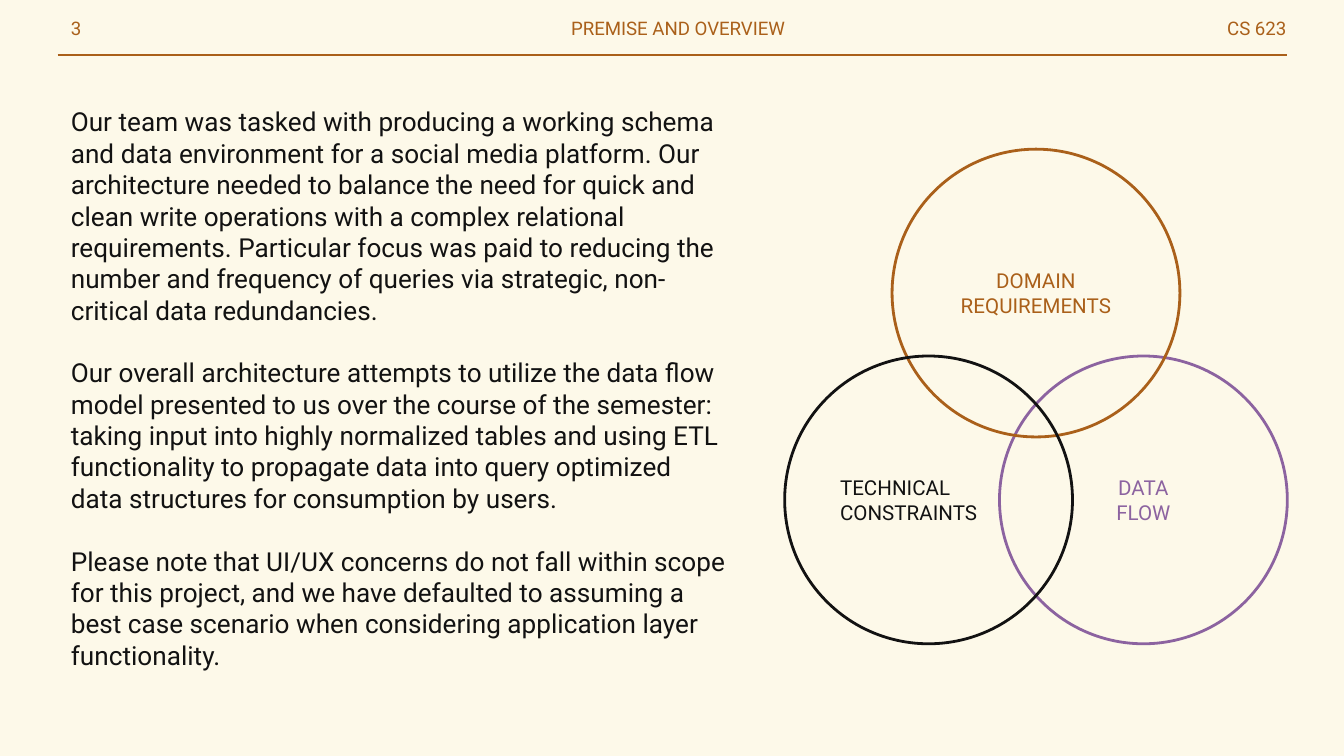
from pptx import Presentation
from pptx import util as u
from pptx.dml.color import RGBColor
from pptx.enum import shapes, text
from pptx.oxml import parse_xml
from pptx.oxml.ns import nsdecls

# Content
PAGE, TITLE, COURSE = "3", "PREMISE AND OVERVIEW", "CS 623"
OVERVIEW = [
    "Our team was tasked with producing a working schema and data environment "
    "for a social media platform. Our architecture needed to balance the need "
    "for quick and clean write operations with a complex relational "
    "requirements. Particular focus was paid to reducing the number and "
    "frequency of queries via strategic, non-critical data redundancies.",
    "Our overall architecture attempts to utilize the data flow model presented "
    "to us over the course of the semester: taking input into highly normalized "
    "tables and using ETL functionality to propagate data into query optimized "
    "data structures for consumption by users.",
    "Please note that UI/UX concerns do not fall within scope for this project, "
    "and we have defaulted to assuming a best case scenario when considering "
    "application layer functionality.",
]


class Theme:
    font = "Roboto"
    paper, ink, rust, violet = (
        RGBColor.from_string(c) for c in ("FDF9E9", "121212", "AA601A", "8C63A0"))
    header, label, body = u.Pt(10), u.Pt(11), u.Pt(14)
    paragraph_gap = u.Pt(16.8)
    rule, ring = u.Pt(0.75), u.Pt(1.5)
    inset = u.Cm(0.25)


LEFT, CENTER, RIGHT = text.PP_ALIGN.LEFT, text.PP_ALIGN.CENTER, text.PP_ALIGN.RIGHT

# Circles from back to front: (column, row, colour, alignment, lines);
# columns count half steps between the two lower circles
CIRCLES = [
    (2, 1, Theme.violet, CENTER, ["DATA", "FLOW"]),
    (1, 0, Theme.rust, CENTER, ["DOMAIN REQUIREMENTS"]),
    (0, 1, Theme.ink, LEFT, ["TECHNICAL", "CONSTRAINTS"]),
]
VENN_LEFT, VENN_TOP, DIAMETER = 14.83, 2.82, 5.44
HALF_STEP, ROW_STEP = 2.03, 3.91


def write(frame, lines, size, color, align=LEFT, gap=0):
    frame.word_wrap = True
    frame.margin_left = frame.margin_right = Theme.inset
    frame.margin_top = frame.margin_bottom = Theme.inset
    for i, line in enumerate(lines):
        paragraph = frame.paragraphs[0] if i == 0 else frame.add_paragraph()
        paragraph.alignment = align
        if i:
            paragraph.space_before = gap
        run = paragraph.add_run()
        run.text = line
        run.font.name, run.font.size = Theme.font, size
        run.font.color.rgb = color


def add_text(slide, box, *style, **options):
    write(slide.shapes.add_textbox(*map(u.Cm, box)).text_frame, *style, **options)


def add_circle(slide, column, row, color, align, label):
    circle = slide.shapes.add_shape(
        shapes.MSO_SHAPE.FLOWCHART_CONNECTOR,
        u.Cm(VENN_LEFT + column * HALF_STEP), u.Cm(VENN_TOP + row * ROW_STEP),
        u.Cm(DIAMETER), u.Cm(DIAMETER))
    circle.shadow.inherit = False
    circle.fill.background()
    circle.line.color.rgb, circle.line.width = color, Theme.ring
    circle.text_frame.vertical_anchor = text.MSO_ANCHOR.MIDDLE
    write(circle.text_frame, label, Theme.label, color, align)


def main():
    deck = Presentation()
    deck.slide_width, deck.slide_height = u.Cm(25.4), u.Cm(14.29)
    slide = deck.slides.add_slide(deck.slide_layouts[6])
    slide.background.fill.solid()
    slide.background.fill.fore_color.rgb = Theme.paper

    # Header rule
    rule = slide.shapes.add_connector(
        shapes.MSO_CONNECTOR.STRAIGHT, u.Cm(1.09), u.Cm(1.04), u.Cm(24.33), u.Cm(1.04))
    rule.line.color.rgb, rule.line.width = Theme.rust, Theme.rule
    rule._element.spPr.append(parse_xml(f"<a:effectLst {nsdecls('a')}/>"))

    # Overview
    add_text(slide, (1.09, 1.75, 12.93, 11.58), OVERVIEW, Theme.body, Theme.ink,
             gap=Theme.paragraph_gap)

    # Header texts
    for label, box, align in [
        (PAGE, (1.09, 0.1, 1.52, 1.09), LEFT),
        (COURSE, (17.86, 0.1, 6.7, 0.94), RIGHT),
        (TITLE, (9.35, 0.1, 6.93, 0.94), CENTER),
    ]:
        add_text(slide, box, [label], Theme.header, Theme.rust, align)

    # Venn diagram
    for circle in CIRCLES:
        add_circle(slide, *circle)

    deck.save("out.pptx")


if __name__ == "__main__":
    main()
